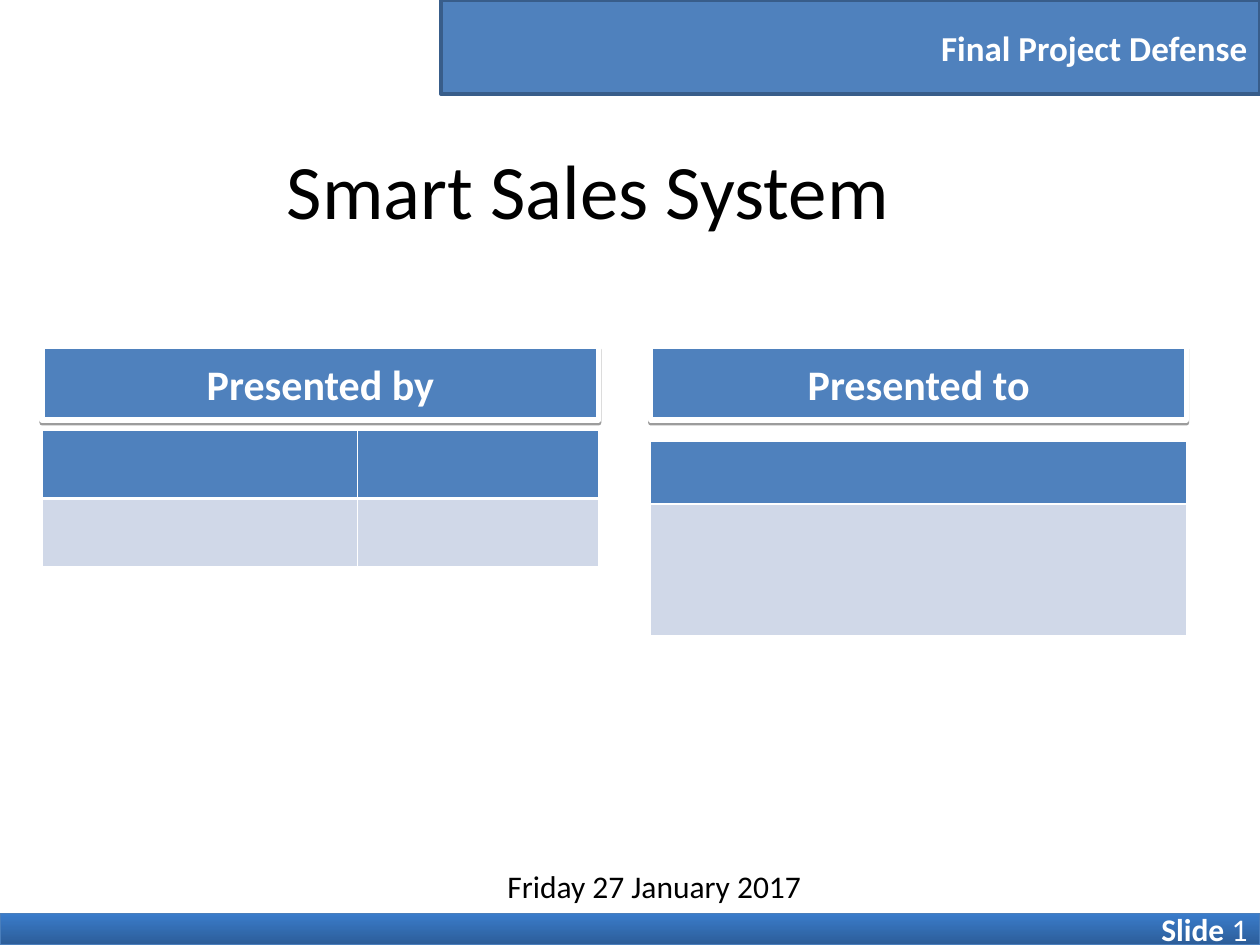
from pptx import Presentation
from pptx.dml.color import RGBColor
from pptx.enum.shapes import MSO_SHAPE as SHAPE
from pptx.enum.text import MSO_ANCHOR as ANCHOR, MSO_AUTO_SIZE as AUTO, PP_ALIGN as ALIGN
from pptx.oxml import parse_xml
from pptx.oxml.ns import nsdecls, qn
from pptx.util import Cm, Pt

BLUE, PALE, WHITE, BLACK = "4F81BD", "D0D8E8", "FFFFFF", "000000"


def rgb(value):
    """Turn a hex string into a colour."""
    return RGBColor.from_string(value)


class Deck:
    """Hold the style and the current slide."""

    font = "Calibri"

    def __init__(self):
        """Start a presentation with one title-only slide."""
        self.prs = Presentation()
        self.prs.slide_width, self.prs.slide_height = Cm(25.4), Cm(19.05)
        self.s = self.prs.slides.add_slide(self.prs.slide_layouts[5])

    def add_runs(self, tf, runs, size, color, align):
        """Add (text, bold) runs to the first paragraph."""
        p = tf.paragraphs[0]
        p.alignment = align
        for text, bold in runs:
            r = p.add_run()
            r.text = text
            r.font.name, r.font.size, r.font.bold = self.font, Pt(size), bold
            r.font.color.rgb = rgb(color)

    def title(self, text, x, y, w, h):
        """Place and fill the title placeholder."""
        sp = self.s.shapes.title
        sp.left, sp.top, sp.width, sp.height = Cm(x), Cm(y), Cm(w), Cm(h)
        sp.text_frame.vertical_anchor = ANCHOR.MIDDLE
        self.add_runs(sp.text_frame, [(text, False)], 44, BLACK, ALIGN.CENTER)

    def bar(self, runs, x, y, w, h, size, line, weight, align=ALIGN.RIGHT, fill=(BLUE,), shadow=None):
        """Add a labelled bar; shadow is (opacity percent, distance in points)."""
        sp = self.s.shapes.add_shape(SHAPE.RECTANGLE, Cm(x), Cm(y), Cm(w), Cm(h))
        sp.shadow.inherit = False
        if len(fill) == 1:
            sp.fill.solid()
            sp.fill.fore_color.rgb = rgb(fill[0])
        else:
            sp.fill.gradient()
            sp.fill.gradient_angle = 90
            for stop, color in zip(sp.fill.gradient_stops, fill):
                stop.color.rgb = rgb(color)
        sp.line.color.rgb, sp.line.width = rgb(line), Pt(weight)
        if shadow:
            alpha, dist = shadow
            sp._element.spPr.find(qn("a:effectLst")).append(parse_xml(
                f'<a:outerShdw {nsdecls("a")} blurRad="0" dist="{Pt(dist)}" dir="5400000" rotWithShape="0">'
                f'<a:srgbClr val="{BLACK}"><a:alpha val="{alpha * 1000}"/></a:srgbClr></a:outerShdw>'))
        sp.text_frame.vertical_anchor = ANCHOR.MIDDLE
        self.add_runs(sp.text_frame, runs, size, WHITE, align)

    def text(self, text, x, y, w, h):
        """Add a single-line text box."""
        tf = self.s.shapes.add_textbox(Cm(x), Cm(y), Cm(w), Cm(h)).text_frame
        tf.word_wrap, tf.auto_size = False, AUTO.SHAPE_TO_FIT_TEXT
        self.add_runs(tf, [(text, False)], 18, BLACK, ALIGN.LEFT)

    def table(self, x, y, cols, rows):
        """Add an empty table with a blue header row and a pale body."""
        tbl = self.s.shapes.add_table(
            len(rows), len(cols), Cm(x), Cm(y), Cm(sum(cols)), Cm(sum(rows))).table
        for col, w in zip(tbl.columns, cols):
            col.width = Cm(w)
        for i, h in enumerate(rows):
            tbl.rows[i].height = Cm(h)
            for cell in tbl.rows[i].cells:
                heavy = "lnT" if i else "lnB"
                for side in ("lnL", "lnR", "lnT", "lnB"):
                    width = Pt(1.47 if side == heavy else 0.45)
                    cell._tc.get_or_add_tcPr().append(parse_xml(
                        f'<a:{side} {nsdecls("a")} w="{width}"><a:solidFill>'
                        f'<a:srgbClr val="{WHITE}"/></a:solidFill></a:{side}>'))
                cell.fill.solid()
                cell.fill.fore_color.rgb = rgb(PALE if i else BLUE)


def main():
    """Build the title slide."""
    deck = Deck()
    for label, x, w in (("Presented by", 0.85, 11.22), ("Presented to", 13.12, 10.8)):
        deck.bar([(label, True)], x, 6.99, w, 1.48, 24, WHITE, 3, ALIGN.CENTER, shadow=(38, 1.6))
    deck.bar([("Slide ", True), ("1", False)], 0, 18.42, 25.4, 0.63, 18, "4A7EBB", 0.75,
             fill=("2C5D98", "3A7CCB"), shadow=(35, 1.8))
    deck.bar([("Final Project Defense", True)], 8.89, 0, 16.51, 1.9, 20, "385D8A", 2)
    deck.title("Smart Sales System", 1.27, 2.33, 21.17, 2.96)
    deck.text("Friday 27 January 2017", 9.98, 17.36, 6.43, 1.02)
    deck.table(0.85, 8.68, (6.35, 4.87), (1.37, 1.37))
    deck.table(13.12, 8.89, (10.8,), (1.27, 2.64))
    deck.prs.save("out.pptx")


if __name__ == "__main__":
    main()
